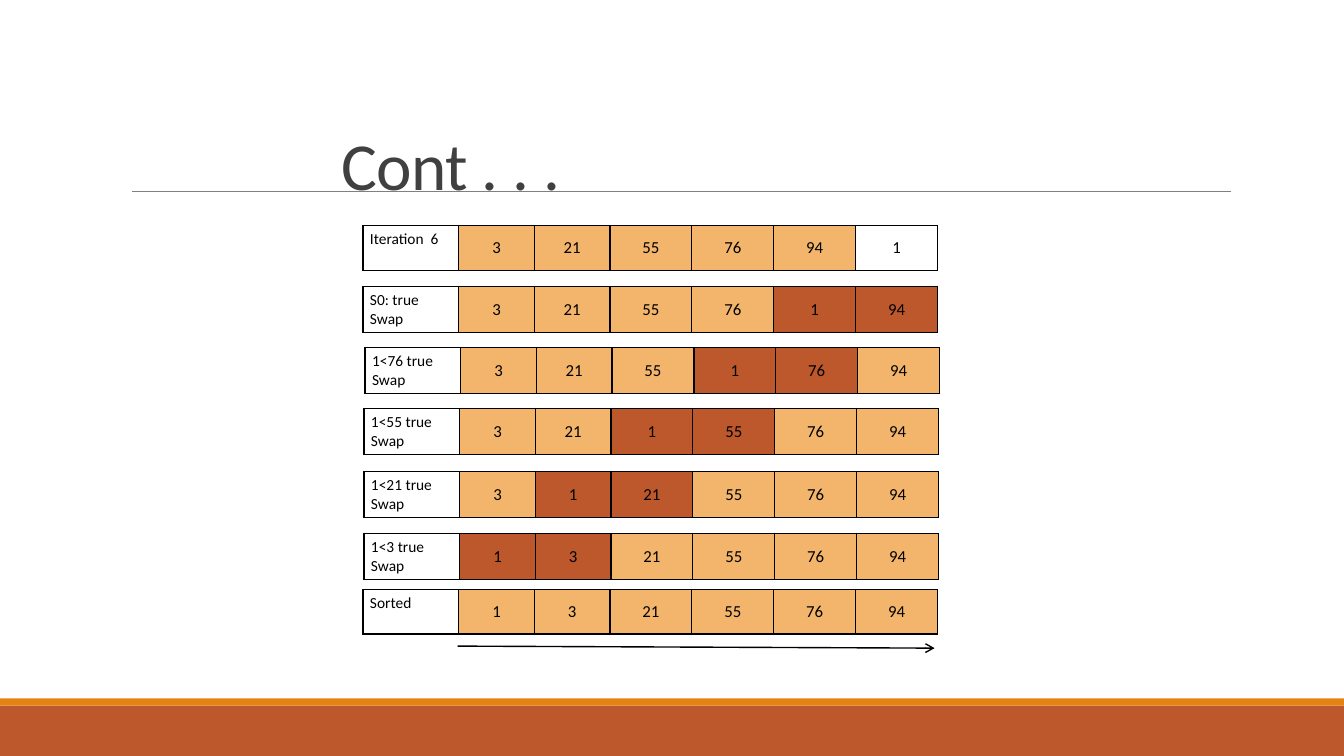
from dataclasses import dataclass

from lxml.etree import SubElement
from pptx import Presentation
from pptx.dml.color import RGBColor
from pptx.enum.shapes import MSO_CONNECTOR, MSO_SHAPE
from pptx.enum.text import MSO_ANCHOR, MSO_AUTO_SIZE, PP_ALIGN
from pptx.oxml.ns import qn
from pptx.util import Inches, Pt

TITLE = "Cont . . ."
# label, left, top, values, positions filled with another colour, that colour
STEPS = [
    ("Iteration  6", 3.6, 2.24, (3, 21, 55, 76, 94, 1), (5,), "white"),
    ("S0: true\nSwap", 3.6, 2.84, (3, 21, 55, 76, 1, 94), (4, 5), "swapped"),
    ("1<76 true\nSwap", 3.62, 3.45, (3, 21, 55, 1, 76, 94), (3, 4), "swapped"),
    ("1<55 true\nSwap", 3.61, 4.05, (3, 21, 1, 55, 76, 94), (2, 3), "swapped"),
    ("1<21 true\nSwap", 3.61, 4.68, (3, 1, 21, 55, 76, 94), (1, 2), "swapped"),
    ("1<3 true\nSwap", 3.61, 5.29, (1, 3, 21, 55, 76, 94), (0, 1), "swapped"),
    ("Sorted", 3.6, 5.85, (1, 3, 21, 55, 76, 94), (), "sorted"),
]
TABLE_WIDTH, ROW_HEIGHT = 5.7, 0.44
FIRST_COLUMNS = [0.95, 0.75, 0.75]
WIDE_COLUMNS = 4
COLUMNS = FIRST_COLUMNS + [(TABLE_WIDTH - sum(FIRST_COLUMNS)) / WIDE_COLUMNS] * WIDE_COLUMNS


@dataclass(frozen=True)
class Theme:
    font: str = "Calibri"
    title_size: int = 48
    label_size: int = 11
    value_size: int = 12
    title: str = "404040"
    rule: str = "808080"
    black: str = "000000"
    white: str = "FFFFFF"
    sorted: str = "F3B56C"
    swapped: str = "BD582C"
    stripe: str = "E48312"


THEME = Theme()


def format_paragraph(para, size, color, align=PP_ALIGN.LEFT):
    para.alignment = align
    for span in para.runs:
        span.font.name = THEME.font
        span.font.size = Pt(size)
        span.font.color.rgb = RGBColor.from_string(color)


def add_title(page):
    box = page.shapes.title
    box.left, box.top, box.width, box.height = map(Inches, (3.29, 1.14, 6.81, 0.94))
    frame = box.text_frame
    frame.text = TITLE
    frame.auto_size = MSO_AUTO_SIZE.NONE
    frame.vertical_anchor = MSO_ANCHOR.BOTTOM
    para = frame.paragraphs[0]
    para.line_spacing = 0.85
    format_paragraph(para, THEME.title_size, THEME.title)
    para.runs[0]._r.get_or_add_rPr().set("spc", "-50")


def add_bar(page, top, height, color):
    bar = page.shapes.add_shape(
        MSO_SHAPE.RECTANGLE, 0, Inches(top), Inches(13.33), Inches(height))
    bar.shadow.inherit = False
    bar.fill.solid()
    bar.fill.fore_color.rgb = RGBColor.from_string(color)
    bar.line.fill.background()


def add_line(page, start, end, color, width):
    line = page.shapes.add_connector(
        MSO_CONNECTOR.STRAIGHT, *map(Inches, start + end))
    line.line.color.rgb = RGBColor.from_string(color)
    line.line.width = Pt(width)
    SubElement(line._element.spPr, qn("a:effectLst"))
    return line


def add_borders(cell):
    properties = cell._tc.get_or_add_tcPr()
    for side in ("a:lnL", "a:lnR", "a:lnT", "a:lnB"):
        border = SubElement(properties, qn(side), w=str(Pt(1)))
        fill = SubElement(border, qn("a:solidFill"))
        SubElement(fill, qn("a:srgbClr"), val=THEME.black)


def format_cell(cell, text, color, size, align, anchor):
    cell.text_frame.text = text
    cell.margin_left = cell.margin_right = Inches(0.07)
    cell.margin_top = cell.margin_bottom = Inches(0.04)
    cell.vertical_anchor = anchor
    for para in cell.text_frame.paragraphs:
        format_paragraph(para, size, THEME.black, align)
    add_borders(cell)
    cell.fill.solid()
    cell.fill.fore_color.rgb = RGBColor.from_string(color)


def add_step(page, label, left, top, values, marked, mark):
    table = page.shapes.add_table(
        1, len(COLUMNS), *map(Inches, (left, top, TABLE_WIDTH, ROW_HEIGHT))).table
    table.first_row = table.horz_banding = False
    for column, width in zip(table.columns, COLUMNS):
        column.width = Inches(width)
    format_cell(table.cell(0, 0), label, THEME.white, THEME.label_size,
                PP_ALIGN.LEFT, MSO_ANCHOR.TOP)
    for position, value in enumerate(values):
        color = getattr(THEME, mark if position in marked else "sorted")
        format_cell(table.cell(0, position + 1), str(value), color,
                    THEME.value_size, PP_ALIGN.CENTER, MSO_ANCHOR.MIDDLE)


def main():
    deck = Presentation()
    deck.slide_width, deck.slide_height = Inches(13.33), Inches(7.5)
    page = deck.slides.add_slide(deck.slide_layouts[5])
    add_bar(page, 7, 0.5, THEME.swapped)
    add_bar(page, 6.93, 0.07, THEME.stripe)
    add_line(page, (1.31, 1.9), (12.21, 1.9), THEME.rule, 0.5)
    add_title(page)
    for step in STEPS:
        add_step(page, *step)
    arrow = add_line(page, (4.54, 6.41), (9.27, 6.43), THEME.black, 1)
    SubElement(arrow.line._get_or_add_ln(), qn("a:tailEnd"), type="arrow")
    deck.save("out.pptx")


if __name__ == "__main__":
    main()
